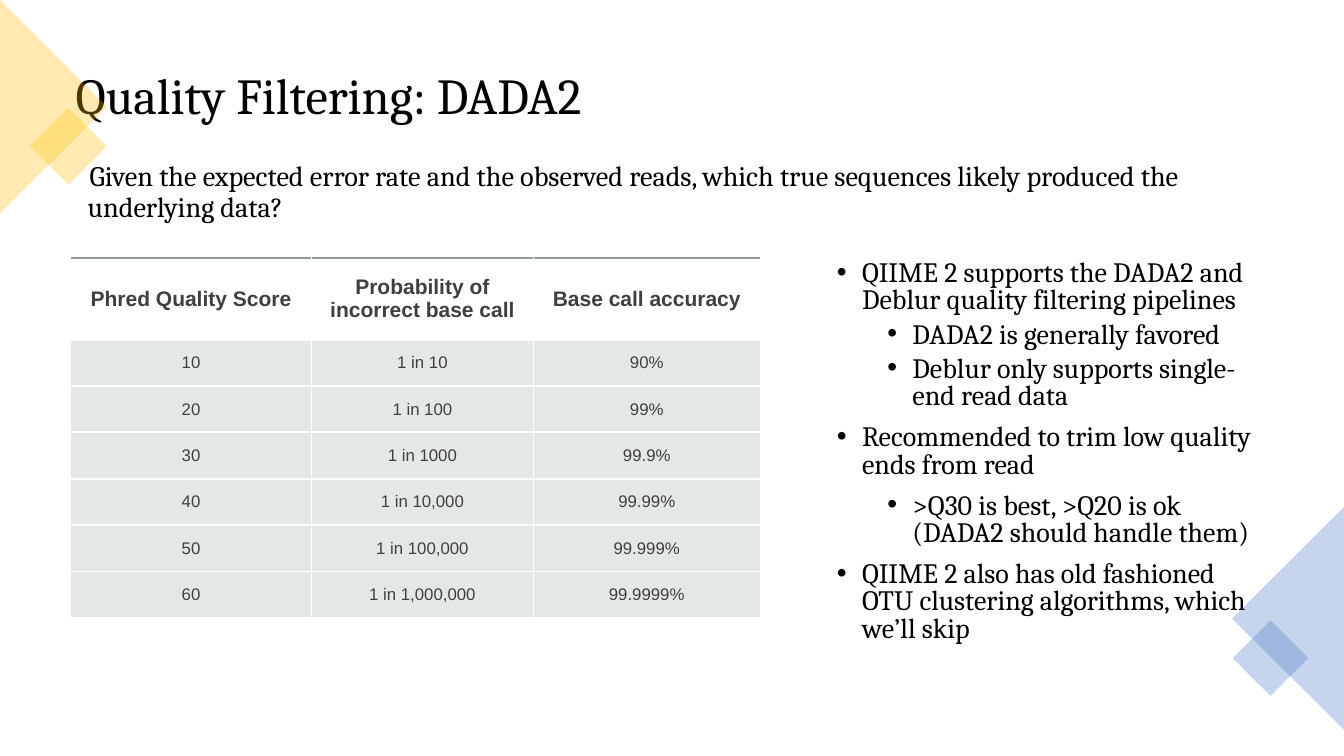
from lxml.etree import SubElement
from pptx import Presentation
from pptx.dml.color import RGBColor
from pptx.enum.shapes import MSO_SHAPE
from pptx.enum.text import MSO_ANCHOR, PP_ALIGN
from pptx.oxml.ns import qn
from pptx.util import Inches, Pt

HUES = {"ink": "000000", "gray": "3F3F3F", "rule": "8F9A9D", "band": "B4BCBE",
        "gold": "FFC000", "blue": "4472C4", "white": "FFFFFF"}
SCORES = [
    ("Phred Quality Score", "Probability of incorrect base call", "Base call accuracy"),
    ("10", "1 in 10", "90%"),
    ("20", "1 in 100", "99%"),
    ("30", "1 in 1000", "99.9%"),
    ("40", "1 in 10,000", "99.99%"),
    ("50", "1 in 100,000", "99.999%"),
    ("60", "1 in 1,000,000", "99.9999%"),
]
POINTS = [
    (0, 0, "QIIME 2 supports the DADA2 and Deblur quality filtering pipelines"),
    (1, 5, "DADA2 is generally favored"),
    (1, 5, "Deblur only supports single-end read data"),
    (0, 10, "Recommended to trim low quality ends from read"),
    (1, 10, ">Q30 is best, >Q20 is ok (DADA2 should handle them)"),
    (0, 10, "QIIME 2 also has old fashioned OTU clustering algorithms, which we’ll skip"),
]


def tint(fill, hue, alpha):
    fill.solid()
    fill.fore_color.rgb = RGBColor.from_string(HUES[hue])
    color = fill._xPr.find(qn("a:solidFill"))[0]
    SubElement(color, qn("a:alpha"), val=str(alpha * 1000))


def style(para, size, font="Cambria", hue="ink", bold=False):
    para.font.size = Pt(size)
    para.font.name = font
    para.font.bold = bold
    para.font.color.rgb = RGBColor.from_string(HUES[hue])


def inset(part, gap):
    part.margin_left = part.margin_right = Inches(gap)
    part.margin_top = part.margin_bottom = Inches(gap)


def place(shape, box):
    shape.left, shape.top, shape.width, shape.height = [Inches(n) for n in box]


def frame(slide, box):
    text = slide.shapes.add_textbox(*[Inches(n) for n in box]).text_frame
    text.word_wrap = True
    inset(text, 0.05)
    return text


def indent(para, left, first):
    props = para._p.get_or_add_pPr()
    props.set("marL", str(Inches(left)))
    props.set("indent", str(Inches(first)))
    return props


def corner(slide, box, turn, center, side, hue):
    left, top, depth, span = box
    x, y = center
    wedge = (left + (depth - span) / 2, top + (span - depth) / 2, span, depth)
    gem = (x - side / 2, y - side / 2, side, side)
    for kind, area, angle in [(MSO_SHAPE.ISOSCELES_TRIANGLE, wedge, turn),
                              (MSO_SHAPE.RECTANGLE, gem, 45)]:
        shape = slide.shapes.add_shape(kind, *[Inches(n) for n in area])
        shape.rotation = angle
        shape.shadow.inherit = False
        shape.line.fill.background()
        tint(shape.fill, hue, 30)


def heading(slide, box):
    title = slide.shapes.title
    place(title, box)
    text = title.text_frame
    text.text = "Quality Filtering: DADA2"
    text.vertical_anchor = MSO_ANCHOR.MIDDLE
    inset(text, 0.05)
    para = text.paragraphs[0]
    para.alignment = PP_ALIGN.LEFT
    para.line_spacing = 0.9
    style(para, 36)


def question(slide, box):
    para = frame(slide, box).paragraphs[0]
    para.text = ("Given the expected error rate and the observed reads, "
                 "which true sequences likely produced the underlying data?")
    indent(para, 0.09, 0.02)
    para.line_spacing = 0.9
    style(para, 20.2)


def bullets(slide, box):
    text = frame(slide, box)
    for i, (level, before, words) in enumerate(POINTS):
        para = text.paragraphs[0] if i == 0 else text.add_paragraph()
        para.text = words
        para.level = level
        para.line_spacing = 0.81
        para.space_before = Pt(before)
        props = indent(para, 0.25 + level * 0.5, -0.25)
        SubElement(props, qn("a:buFont"), typeface="Arial")
        SubElement(props, qn("a:buChar"), char="•")
        style(para, 20)


def edge(cell, side, hue, alpha=100):
    line = SubElement(cell._tc.get_or_add_tcPr(), qn("a:" + side), w=str(Pt(1.5)))
    fill = SubElement(line, qn("a:solidFill"))
    color = SubElement(fill, qn("a:srgbClr"), val=HUES[hue])
    SubElement(color, qn("a:alpha"), val=str(alpha * 1000))


def scores(slide, box):
    grid = slide.shapes.add_table(len(SCORES), 3, *[Inches(n) for n in box]).table
    grid.first_row = grid.horz_banding = False
    for col, width in zip(grid.columns, (2.39, 2.2, 2.25)):
        col.width = Inches(width)
    for r, row in enumerate(SCORES):
        head = r == 0
        grid.rows[r].height = Inches(0.81 if head else 0.46)
        for c, words in enumerate(row):
            cell = grid.cell(r, c)
            cell.text = words
            cell.vertical_anchor = MSO_ANCHOR.MIDDLE
            inset(cell, 0.13 if head else 0.11)
            para = cell.text_frame.paragraphs[0]
            para.alignment = PP_ALIGN.CENTER
            style(para, 15 if head else 12, "Arial", "gray", head)
            if head:
                edge(cell, "lnT", "rule", 60)
            else:
                edge(cell, "lnT", "white")
            edge(cell, "lnB", "white")
            if head:
                cell.fill.background()
            else:
                tint(cell.fill, "band", 35)


def main():
    deck = Presentation()
    deck.slide_width, deck.slide_height = Inches(13.33), Inches(7.5)
    slide = deck.slides.add_slide(deck.slide_layouts[5])
    corner(slide, (0, 0, 1.06, 2.12), 90, (0.68, 1.45), 0.54, "gold")
    heading(slide, (0.7, 0.35, 11.93, 1.24))
    bullets(slide, (8.25, 2.54, 4.38, 4.54))
    corner(slide, (12.22, 5.03, 1.11, 2.21), 270, (12.6, 6.53), 0.53, "blue")
    scores(slide, (0.7, 2.56, 6.84, 3.57))
    question(slide, (0.73, 1.56, 11.87, 0.72))
    deck.save("out.pptx")


if __name__ == "__main__":
    main()
